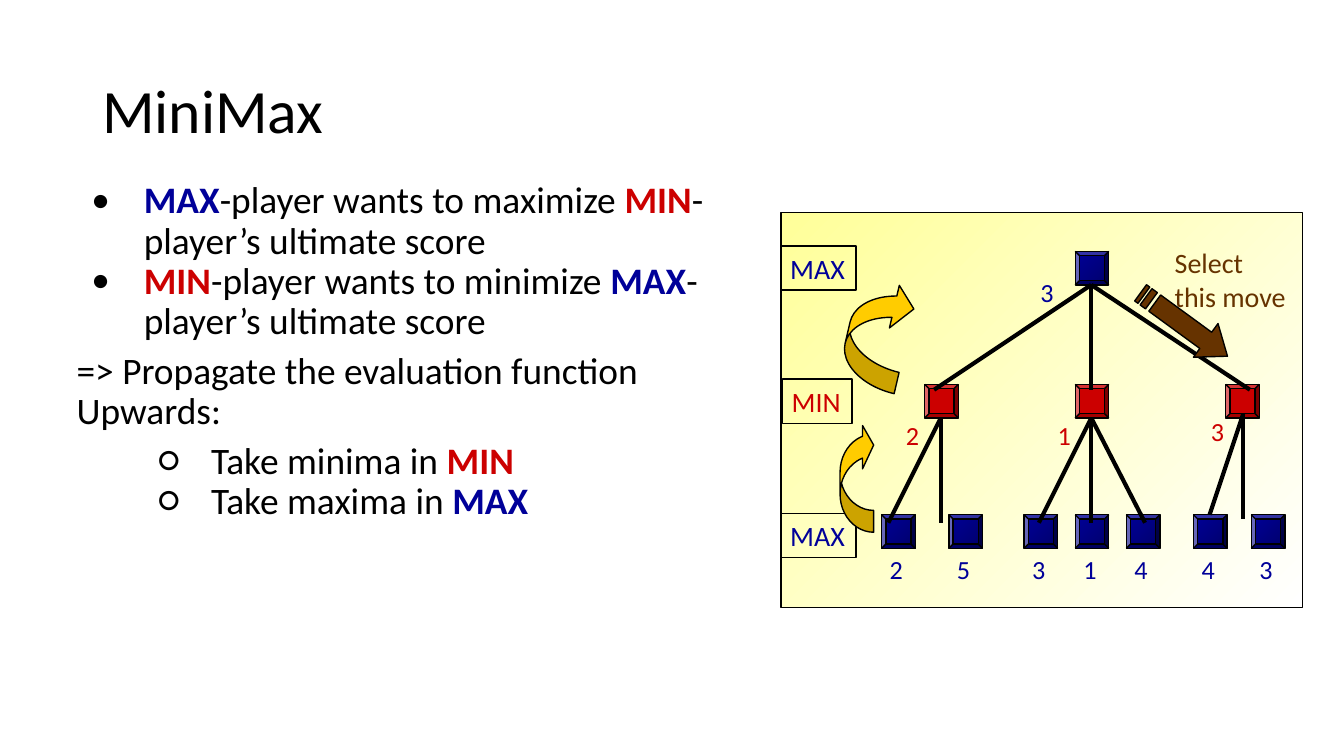
from lxml import etree
from pptx import Presentation
from pptx.dml.color import RGBColor
from pptx.enum.shapes import MSO_CONNECTOR, MSO_SHAPE
from pptx.enum.text import MSO_ANCHOR, PP_ALIGN
from pptx.oxml.ns import qn
from pptx.util import Inches, Pt

RECT = MSO_SHAPE.RECTANGLE
BEVEL = MSO_SHAPE.BEVEL
CURVED = MSO_SHAPE.CURVED_RIGHT_ARROW
STRAIGHT = MSO_CONNECTOR.STRAIGHT
TOP, MIDDLE = MSO_ANCHOR.TOP, MSO_ANCHOR.MIDDLE
LEFT = PP_ALIGN.LEFT

BLACK = RGBColor(0, 0, 0)
BLUE = RGBColor(0, 0, 0x99)
DARK_BLUE = RGBColor(0, 0, 0x6B)
RED = RGBColor(0xCC, 0, 0)
YELLOW = RGBColor(0xFF, 0xFF, 0x99)
WHITE = RGBColor(0xFF, 0xFF, 0xFF)
GOLD = RGBColor(0xFF, 0xCC, 0)
BROWN = RGBColor(0x66, 0x33, 0)

FONT = "Calibri"
WIDTH = 10
HEIGHT = WIDTH * 9 / 16
NODE = 0.25
ROOT_Y, MIN_Y, LEAF_Y = 1.87, 2.86, 3.83


def write(p, text, size=14, color=BLACK, bold=False):
    r = p.add_run()
    r.text = text
    r.font.name = FONT
    r.font.size = Pt(size)
    r.font.bold = bold
    r.font.color.rgb = color


class Deck:
    def __init__(self, width, height):
        self.prs = Presentation()
        self.prs.slide_width = Inches(width)
        self.prs.slide_height = Inches(height)
        self.s = self.prs.slides.add_slide(self.prs.slide_layouts[6])

    def frame(self, sp, wrap=False, anchor=TOP):
        tf = sp.text_frame
        tf.word_wrap = wrap
        tf.vertical_anchor = anchor
        tf.margin_left = tf.margin_right = Inches(0.07)
        tf.margin_top = tf.margin_bottom = Inches(0.04)
        return tf

    def textbox(self, x, y, w, h, **kw):
        box = self.s.shapes.add_textbox(Inches(x), Inches(y), Inches(w), Inches(h))
        return self.frame(box, **kw)

    def outline(self, sp, fill):
        sp.shadow.inherit = False
        sp.line.color.rgb = BLACK
        sp.line.width = Pt(0.75)
        if not fill:
            sp.fill.background()
        elif len(fill) == 1:
            sp.fill.solid()
            sp.fill.fore_color.rgb = fill[0]
        else:
            sp.fill.gradient()
            sp.fill.gradient_angle = 315
            for stop, color in zip(sp.fill.gradient_stops, fill):
                stop.color.rgb = color

    def shape(self, kind, x, y, w, h, *fill):
        sp = self.s.shapes.add_shape(kind, Inches(x), Inches(y), Inches(w), Inches(h))
        self.outline(sp, fill)
        return sp

    def node(self, x, y, *fill):
        self.shape(BEVEL, x, y, NODE, NODE, *fill)

    def level(self, text, x, y, w, color):
        tf = self.frame(self.shape(RECT, x, y, w, 0.33))
        p = tf.paragraphs[0]
        p.alignment = LEFT
        write(p, text, size=15, color=color)

    def edge(self, x1, y1, x2, y2):
        c = self.s.shapes.add_connector(STRAIGHT, Inches(x1), Inches(y1), Inches(x2), Inches(y2))
        c.line.color.rgb = BLACK
        c.line.width = Pt(2.25)
        etree.SubElement(c._element.spPr, qn("a:effectLst"))

    def value(self, text, x, y, color):
        write(self.textbox(x, y, 0.25, 0.3).paragraphs[0], text, color=color)

    def curved_arrow(self, x, y, w, h, rotation, adjustments):
        sp = self.shape(CURVED, x, y, w, h, GOLD)
        sp.rotation = rotation
        sp._element.spPr.find(qn("a:xfrm")).set("flipH", "1")
        for i, adj in enumerate(adjustments):
            sp.adjustments[i] = adj

    def striped_arrow(self, x, y, rotation):
        top, bottom = 0.08, 0.23
        parts = [
            [(0.6, 0), (0.6, top), (0.13, top), (0.13, bottom), (0.6, bottom), (0.6, 0.31), (0.8, 0.155)],
            [(0.05, top), (0.05, bottom), (0.1, bottom), (0.1, top)],
            [(0, top), (0, bottom), (0.03, bottom), (0.03, top)],
        ]
        outlines = [[(Inches(x + dx), Inches(y + dy)) for dx, dy in part] for part in parts]
        fb = self.s.shapes.build_freeform(*outlines[0][0])
        for i, points in enumerate(outlines):
            if i:
                fb.move_to(*points[0])
            fb.add_line_segments(points[1:], close=True)
        sp = fb.convert_to_shape()
        self.outline(sp, [BROWN])
        sp.rotation = rotation

    def paragraph(self, tf, runs, bullet=None, level=0, before=0):
        p = tf.paragraphs[0] if not tf.paragraphs[0].runs else tf.add_paragraph()
        p.level = level
        if bullet:
            pPr = p._p.get_or_add_pPr()
            pPr.set("marL", str(Inches(0.5 + 0.5 * level)))
            pPr.set("indent", str(Inches(-0.39)))
            color = etree.SubElement(pPr, qn("a:buClr"))
            etree.SubElement(color, qn("a:srgbClr")).set("val", str(BLACK))
            etree.SubElement(pPr, qn("a:buFont")).set("typeface", FONT)
            etree.SubElement(pPr, qn("a:buChar")).set("char", bullet)
        p.line_spacing = 0.9
        p.space_before = Pt(before)
        for text in runs:
            if text == "\n":
                p.add_line_break()
            else:
                color = {"MAX": BLUE, "MIN": RED}.get(text, BLACK)
                write(p, text, size=20, color=color, bold=color != BLACK)


def main():
    d = Deck(WIDTH, HEIGHT)

    d.shape(RECT, 5.81, 1.58, 3.88, 2.94, YELLOW, WHITE)
    d.level("MAX", 5.81, 1.83, 0.56, BLUE)
    d.level("MIN", 5.82, 2.82, 0.52, RED)
    d.level("MAX", 5.81, 3.82, 0.56, BLUE)

    leaves = [(6.56, "2"), (7.06, "5"), (7.62, "3"), (8, "1"), (8.38, "4"), (8.88, "4"), (9.31, "3")]
    d.node(8, ROOT_Y, BLUE, DARK_BLUE)
    for x in (6.88, 8, 9.12):
        d.node(x, MIN_Y, RED)
    for x, _ in leaves:
        d.node(x, LEAF_Y, BLUE, DARK_BLUE)

    for x in (6.95, 8.12, 9.3):
        d.edge(8.12, 2.12, x, 2.9)
    for parent, x in ((7, 6.61), (7, 7), (8.12, 7.73), (8.12, 8.12), (8.12, 8.52)):
        d.edge(parent, 3.11, x, 3.89)
    d.edge(9.25, 3.08, 9, 3.83)
    d.edge(9.25, 3.08, 9.25, 3.86)

    for x, text in leaves:
        d.value(text, x - 0.01, 4.08, BLUE)
    for text, x, y in (("2", 6.67, 3.08), ("1", 7.8, 3.08), ("3", 8.94, 3.05)):
        d.value(text, x, y, RED)
    d.value("3", 7.67, 2.02, BLUE)

    d.curved_arrow(6.25, 3.15, 0.25, 0.81, 180, (0.65, 1.29, 0.33))
    d.curved_arrow(6.31, 2.08, 0.44, 0.81, 193.1, (0.37, 0.74, 0.33))
    d.striped_arrow(8.41, 2.26, 36.1)
    tf = d.textbox(8.67, 1.79, 0.99, 0.58)
    write(tf.paragraphs[0], "Select", size=15, color=BROWN)
    write(tf.add_paragraph(), "this move", size=15, color=BROWN)

    p = d.textbox(0.69, 0.3, 8.62, 1.09, wrap=True, anchor=MIDDLE).paragraphs[0]
    p.line_spacing = 0.9
    write(p, "MiniMax", size=33)

    tf = d.textbox(0.5, 1.31, 5.01, 3.71, wrap=True)
    score = "-player’s ultimate score"
    d.paragraph(tf, ["MAX", "-player wants to maximize ", "MIN", score], bullet="•")
    d.paragraph(tf, ["MIN", "-player wants to minimize ", "MAX", score], bullet="•")
    d.paragraph(tf, ["=> Propagate the evaluation function", "\n", "Upwards:"], before=5)
    d.paragraph(tf, ["Take minima in ", "MIN"], bullet="○", level=1, before=5)
    d.paragraph(tf, ["Take maxima in ", "MAX"], bullet="○", level=1)

    d.prs.save("out.pptx")


if __name__ == "__main__":
    main()
